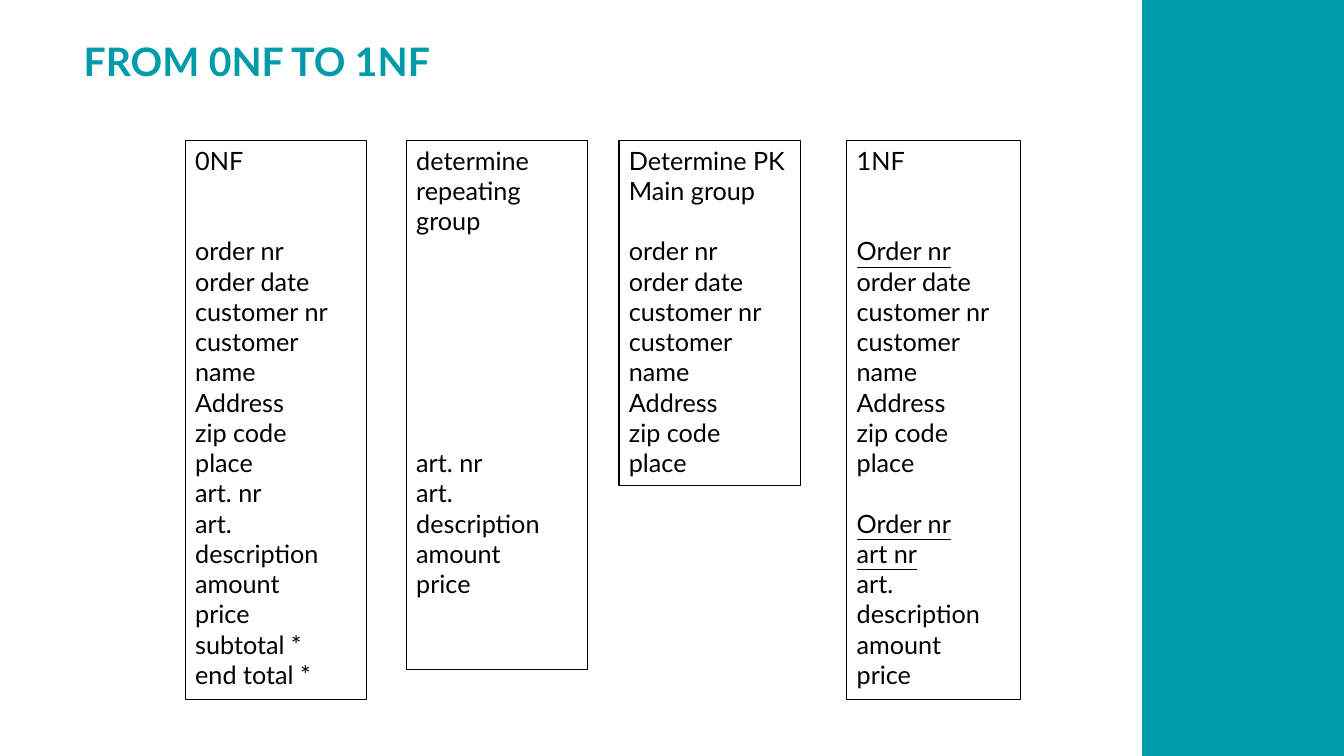
import pptx
import pptx.util
import pptx.dml.color
import pptx.enum.shapes
import pptx.enum.text

Cm, Pt = pptx.util.Cm, pptx.util.Pt

# Content
TITLE = "FROM 0NF TO 1NF"
ORDER = ["order date", "customer nr", "customer name", "Address", "zip code", "place"]
ITEM = ["art. description", "amount", "price"]
KEYS = {"Order nr", "art nr"}

# Columns: left, width, height, groups of (empty lines above, rows)
COLS = [
    (4.67, 4.57, 14.1, [
        (0, ["0NF"]),
        (2, ["order nr", *ORDER, "art. nr", *ITEM, "subtotal *", "end total *"])]),
    (10.24, 4.57, 13.34, [
        (0, ["determine", "repeating", "group"]),
        (7, ["art. nr", *ITEM])]),
    (15.6, 4.57, 8.71, [
        (0, ["Determine PK", "Main group"]),
        (1, ["order nr", *ORDER])]),
    (21.34, 4.39, 14.1, [
        (0, ["1NF"]),
        (2, ["Order nr", *ORDER]),
        (1, ["Order nr", "art nr", *ITEM])]),
]

# Format
HEX = {"teal": "009BAA", "black": "000000"}
TOP = 3.53
PITCH = 21.6  # points per line of 18 pt Lato
HEAD = {"name": "Lato", "size": Pt(28), "bold": True}
BODY = {"name": "Lato", "size": Pt(18)}
FRAME = {"word_wrap": True, "auto_size": pptx.enum.text.MSO_AUTO_SIZE.NONE}


def color(name):
    return pptx.dml.color.RGBColor.from_string(HEX[name])


def apply(item, form):
    for key, val in form.items():
        setattr(item, key, val)


def style(font, form, name):
    apply(font, form)
    font.color.rgb = color(name)


def outline(shape, name, width):
    shape.line.color.rgb = color(name)
    shape.line.width = Pt(width)


def add_col(slide, left, width, height, groups):
    box = slide.shapes.add_textbox(Cm(left), Cm(TOP), Cm(width), Cm(height))
    outline(box, "black", 0.75)
    frame = box.text_frame
    apply(frame, {**FRAME, "vertical_anchor": pptx.enum.text.MSO_ANCHOR.TOP})
    rows = [(gap if n == 0 else 0, row)
            for gap, part in groups for n, row in enumerate(part)]
    for n, (gap, row) in enumerate(rows):
        para = frame.add_paragraph() if n else frame.paragraphs[0]
        para.space_before = Pt(gap * PITCH)
        run = para.add_run()
        run.text = row
        style(run.font, BODY, "black")
        if row in KEYS:
            run.font.underline = True


def main():
    prs = pptx.Presentation()
    apply(prs, {"slide_width": Cm(33.87), "slide_height": Cm(19.05)})
    slide = prs.slides.add_slide(prs.slide_layouts[5])

    # Side band
    band = slide.shapes.add_shape(pptx.enum.shapes.MSO_SHAPE.RECTANGLE,
                                  Cm(28.8), 0, Cm(5.07), prs.slide_height)
    band.shadow.inherit = False
    band.fill.solid()
    band.fill.fore_color.rgb = color("teal")
    outline(band, "teal", 1)

    # Title
    title = slide.shapes.title
    apply(title, {"left": Cm(1.63), "top": Cm(0.69),
                  "width": Cm(21.79), "height": Cm(1.83)})
    apply(title.text_frame, {**FRAME, "margin_left": Cm(0.48),
                             "vertical_anchor": pptx.enum.text.MSO_ANCHOR.MIDDLE})
    para = title.text_frame.paragraphs[0]
    apply(para, {"alignment": pptx.enum.text.PP_ALIGN.LEFT, "line_spacing": 0.9})
    run = para.add_run()
    run.text = TITLE
    style(run.font, HEAD, "teal")

    # Columns
    for col in COLS:
        add_col(slide, *col)

    prs.save("out.pptx")


if __name__ == "__main__":
    main()
